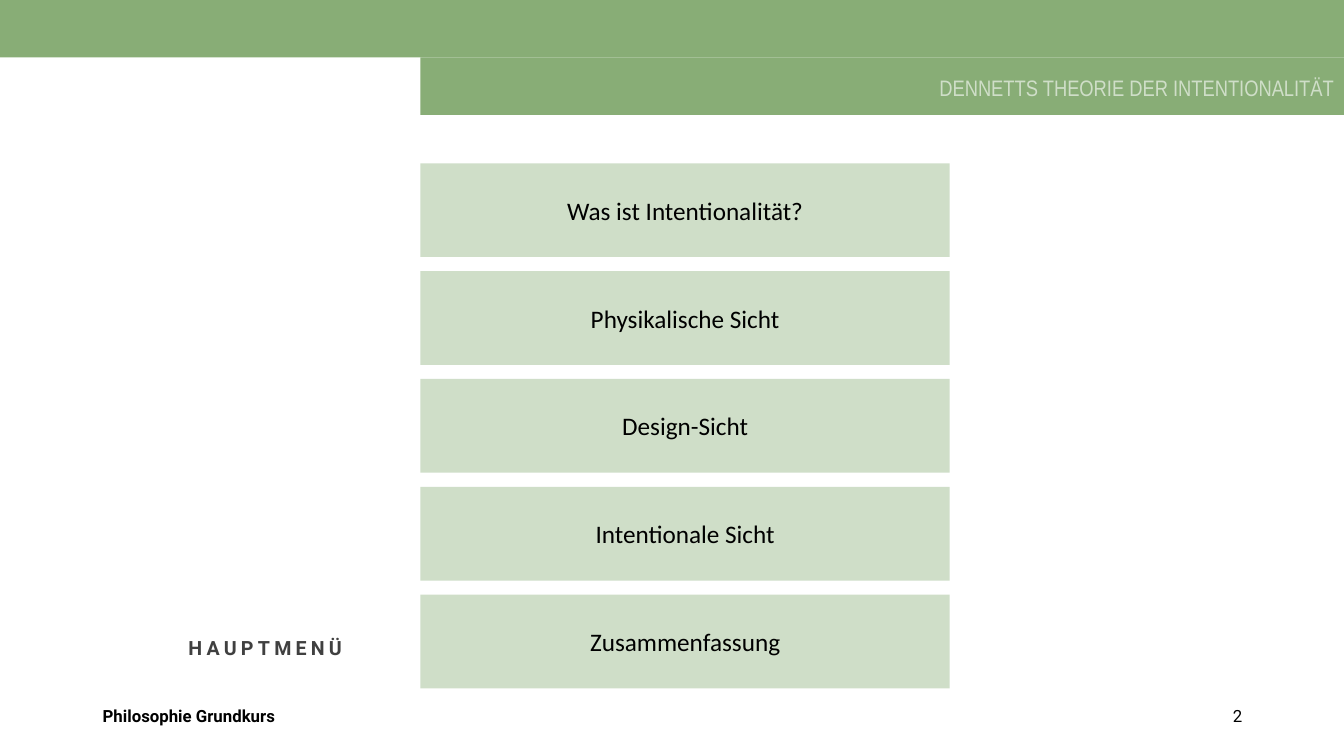
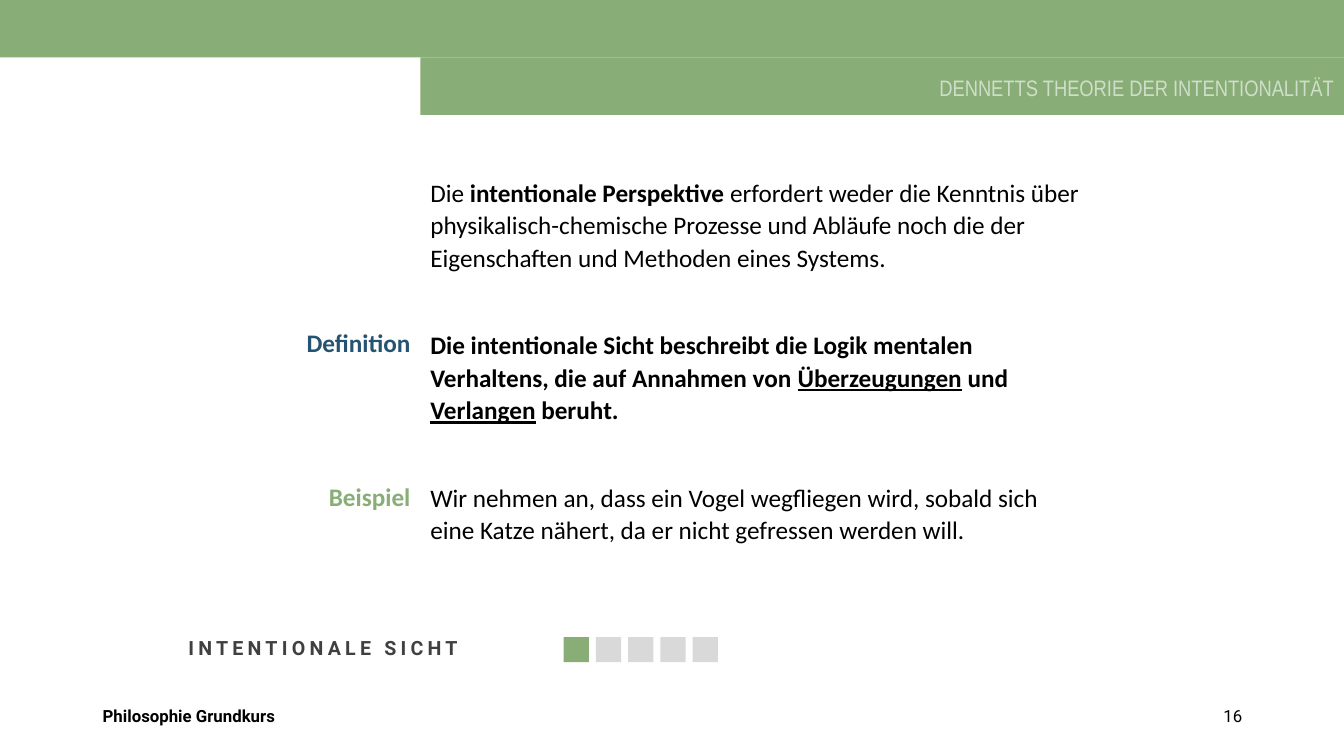
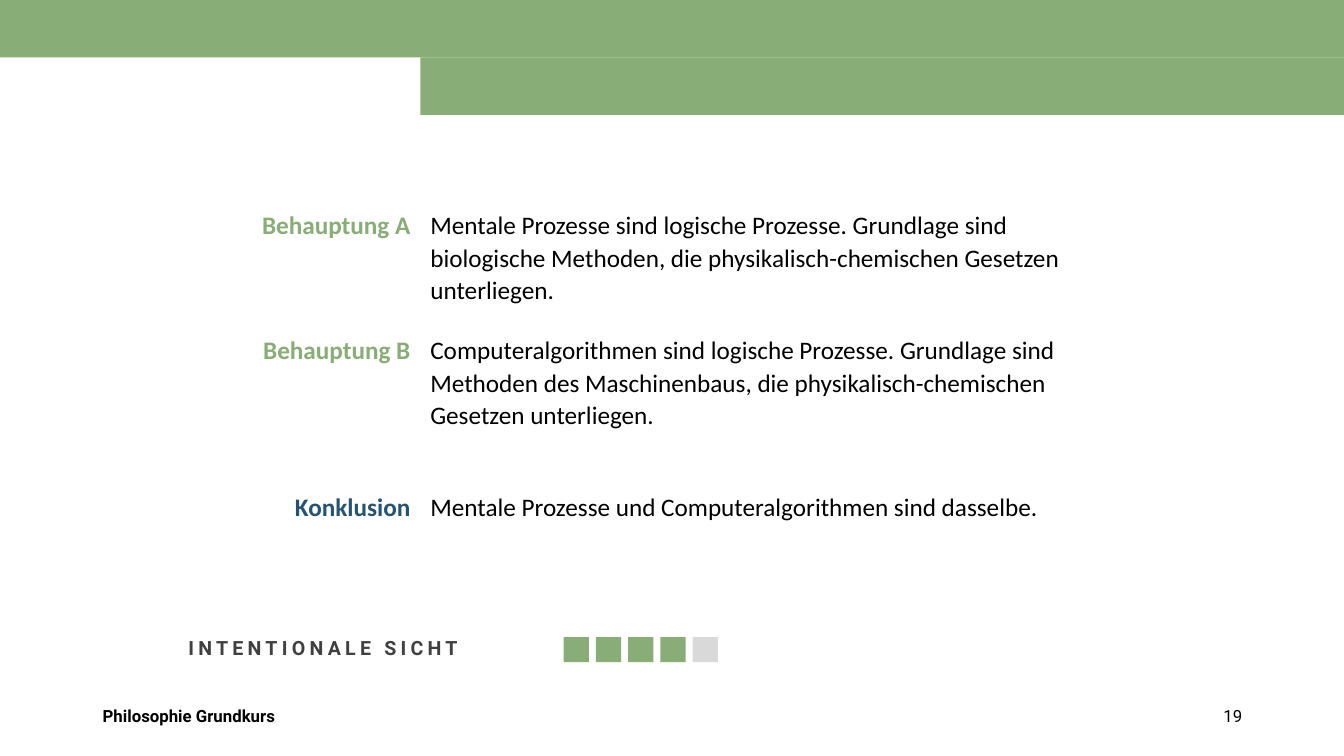
from pptx import Presentation
from pptx.dml.color import RGBColor
from pptx.enum.shapes import MSO_SHAPE as Shape
from pptx.enum.text import MSO_ANCHOR as Anchor, PP_ALIGN as Align
from pptx.util import Pt

PX = 9144
WIDTH, HEIGHT = 1333, 750
COLUMN = 417
BAND = 57

COLORS = {
    "green": "88AD76",
    "pale": "CFDEC8",
    "grey": "D9D9D9",
    "blue": "255372",
    "black": "000000",
    "title": "404040",
}
STYLES = {
    "footer": {"size": Pt(12), "name": "Roboto", "bold": True},
    "number": {"size": Pt(12), "name": "Roboto"},
    "title": {"size": Pt(14), "name": "Roboto", "bold": True},
    "header": {"size": Pt(16), "name": "Arial Narrow"},
    "body": {"size": Pt(18), "name": "Calibri"},
    "label": {"size": Pt(18), "name": "Calibri", "bold": True},
}
BOLD = {"bold": True}
UNDERLINED = {"bold": True, "underline": True}

FOOTER = "Philosophie Grundkurs"
HEADER = "DENNETTS THEORIE DER INTENTIONALITÄT"
STEPS = 5

PAGES = [
    {
        "number": 2,
        "title": "HAUPTMENÜ",
        "header": HEADER,
        "menu": ["Was ist Intentionalität?", "Physikalische Sicht", "Design-Sicht",
                 "Intentionale Sicht", "Zusammenfassung"],
    },
    {
        "number": 16,
        "title": "INTENTIONALE SICHT",
        "header": HEADER,
        "progress": 1,
        "labels": [(318, "Definition", "blue"), (470, "Beispiel", "green")],
        "texts": [(169, 378, [
            [("Die ", {}), ("intentionale Perspektive ", BOLD),
             ("erfordert weder die Kenntnis über physikalisch-chemische Prozesse und "
              "Abläufe noch die der Eigenschaften und Methoden eines Systems.", {})],
            [("Die intentionale Sicht beschreibt die Logik mentalen Verhaltens, "
              "die auf Annahmen von ", BOLD), ("Überzeugungen", UNDERLINED),
             (" und ", BOLD), ("Verlangen", UNDERLINED), (" beruht.", BOLD)],
            [("Wir nehmen an, dass ein Vogel wegfliegen wird, sobald sich eine Katze "
              "nähert, da er nicht gefressen werden will.", {})],
        ])],
    },
    {
        "number": 19,
        "title": "INTENTIONALE SICHT",
        "progress": 4,
        "labels": [(201, "Behauptung A", "green"), (325, "Behauptung B", "green"),
                   (480, "Konklusion", "blue")],
        "texts": [
            (201, 106, [[("Mentale Prozesse sind logische Prozesse. Grundlage sind biologische "
                          "Methoden, die physikalisch-chemischen Gesetzen unterliegen.", {})]]),
            (325, 106, [[("Computeralgorithmen sind logische Prozesse. Grundlage sind Methoden "
                          "des Maschinenbaus, die physikalisch-chemischen Gesetzen "
                          "unterliegen.", {})]]),
            (480, 41, [[("Mentale Prozesse und Computeralgorithmen sind dasselbe.", {})]]),
        ],
    },
]


def write(box, paragraphs, style, color="black", anchor=Anchor.TOP, tracking=None, **layout):
    frame = box.text_frame
    frame.word_wrap = True
    frame.vertical_anchor = anchor
    for index, spans in enumerate(paragraphs):
        para = frame.add_paragraph() if index else frame.paragraphs[0]
        for key, value in layout.items():
            setattr(para, key, value)
        for text, emphasis in spans:
            span = para.add_run()
            span.text = text
            span.font.color.rgb = RGBColor.from_string(COLORS[color])
            for key, value in {**STYLES[style], **emphasis}.items():
                setattr(span.font, key, value)
            if tracking:
                span.font._element.set("spc", str(tracking))


def add_text(page, area, paragraphs, style, **options):
    box = page.shapes.add_textbox(*(length * PX for length in area))
    if isinstance(paragraphs, str):
        paragraphs = [[(paragraphs, {})]]
    write(box, paragraphs, style, **options)


def add_block(page, area, color):
    block = page.shapes.add_shape(Shape.RECTANGLE, *(length * PX for length in area))
    block.shadow.inherit = False
    block.fill.solid()
    block.fill.fore_color.rgb = RGBColor.from_string(COLORS[color])
    block.line.fill.background()
    return block


def add_frame(page, content):
    add_text(page, (92, 695, 450, 40), FOOTER, "footer")
    add_text(page, (942, 695, 300, 40), str(content["number"]), "number", alignment=Align.RIGHT)
    add_text(page, (177, 618, 764, 53), content["title"], "title", color="title",
             anchor=Anchor.MIDDLE, tracking=300, line_spacing=0.9)
    add_block(page, (0, 0, WIDTH, BAND), "green")
    add_block(page, (COLUMN, BAND, WIDTH - COLUMN, BAND), "green")
    if "header" in content:
        add_text(page, (679, 69, 654, 37), content["header"], "header", color="pale",
                 alignment=Align.RIGHT)


def add_menu(page, entries):
    for index, entry in enumerate(entries):
        button = add_block(page, (COLUMN, 162 + 107 * index, 525, 93), "pale")
        write(button, [[(entry, {})]], "body", anchor=Anchor.MIDDLE, alignment=Align.CENTER)


def add_progress(page, done):
    for step in range(STEPS):
        add_block(page, (559 + 32 * step, 632, 25, 25), "green" if step < done else "grey")


def main():
    deck = Presentation()
    deck.slide_width, deck.slide_height = WIDTH * PX, HEIGHT * PX
    for content in PAGES:
        page = deck.slides.add_slide(deck.slide_layouts[6])
        add_frame(page, content)
        add_menu(page, content.get("menu", []))
        for top, height, paragraphs in content.get("texts", []):
            add_text(page, (COLUMN, top, 667, height), paragraphs, "body",
                     line_spacing=1.07, space_after=Pt(39.5))
        for top, label, color in content.get("labels", []):
            add_text(page, (87, top, 330, 41), label, "label", color=color,
                     alignment=Align.RIGHT, line_spacing=1.07)
        if "progress" in content:
            add_progress(page, content["progress"])
    deck.save("out.pptx")


if __name__ == "__main__":
    main()
